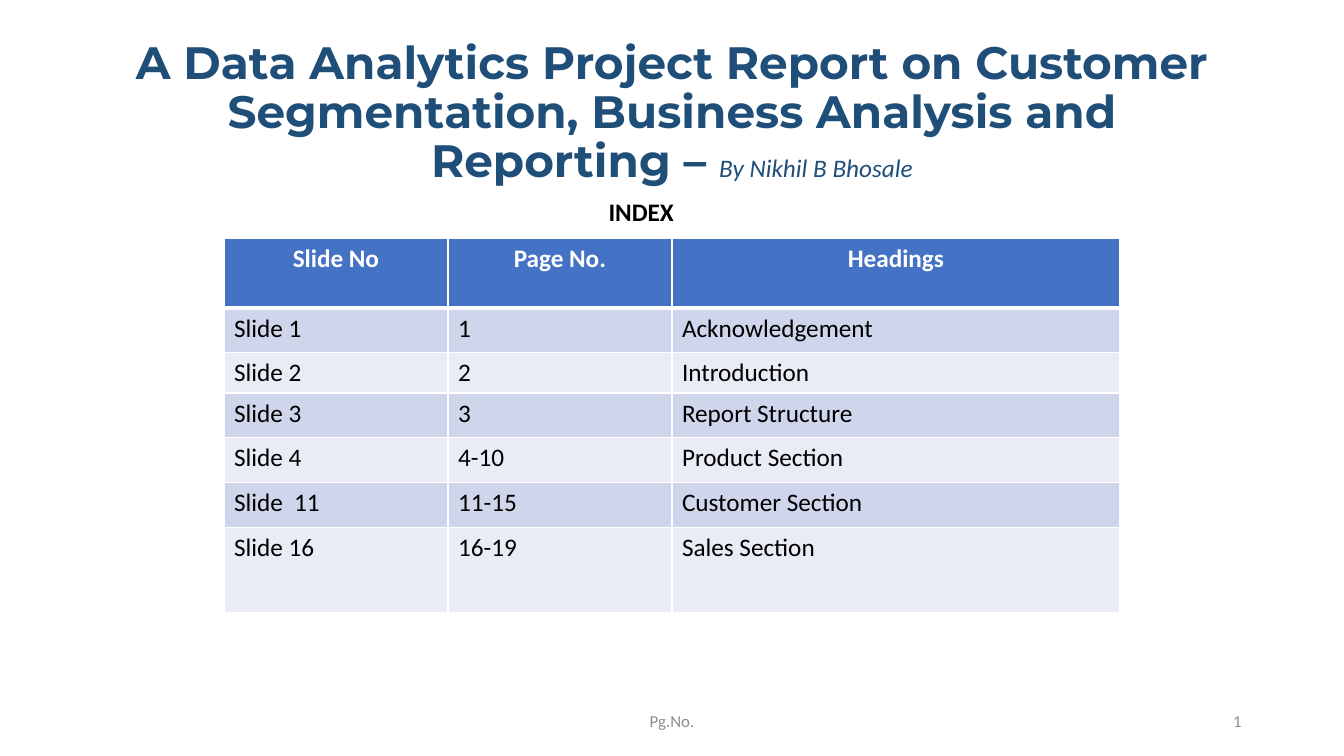
from lxml import etree
from pptx import Presentation
from pptx.dml.color import RGBColor
from pptx.enum import text
from pptx.oxml.ns import qn
from pptx.util import Pt

COLORS = {
    "title": "1F4E79", "black": "000000", "white": "FFFFFF", "footer": "8C8C8C",
    "header": "4472C4", "odd": "CFD5EA", "even": "E9EBF5",
}
CENTER = text.PP_ALIGN.CENTER
RIGHT = text.PP_ALIGN.RIGHT
TOP = text.MSO_ANCHOR.TOP
MIDDLE = text.MSO_ANCHOR.MIDDLE

INDEX = [
    ("Slide No", "Page No.", "Headings"),
    ("Slide 1", "1", "Acknowledgement"),
    ("Slide 2", "2", "Introduction"),
    ("Slide 3", "3", "Report Structure"),
    ("Slide 4", "4-10", "Product Section"),
    ("Slide  11", "11-15", "Customer Section"),
    ("Slide 16", "16-19", "Sales Section"),
]
COL_WIDTHS = (160, 160, 320)
ROW_HEIGHTS = (50, 32, 28.8, 32, 32, 32, 61)


def set_font(font, size, color, name="Calibri", bold=False, italic=False):
    font.size = Pt(size)
    font.name = name
    font.bold = bold
    font.italic = italic
    font.color.rgb = RGBColor.from_string(COLORS[color])


def add_text(s, box, align, anchor=MIDDLE):
    """Add an empty wrapping text box and return its first paragraph."""
    tf = s.shapes.add_textbox(*map(Pt, box)).text_frame
    tf.word_wrap = True
    tf.vertical_anchor = anchor
    p = tf.paragraphs[0]
    p.alignment = align
    return p


def add_label(s, box, label, size, color, align, anchor=MIDDLE, bold=False):
    p = add_text(s, box, align, anchor)
    p.text = label
    set_font(p.font, size, color, bold=bold)


def add_title(s):
    p = add_text(s, (66, 28.8, 828, 104.4), CENTER)
    p.line_spacing = 0.9
    r = p.add_run()
    r.text = ("A Data Analytics Project Report on Customer Segmentation, "
              "Business Analysis and Reporting – ")
    set_font(r.font, 32.4, "title", "Montserrat", bold=True)
    r = p.add_run()
    r.text = "By Nikhil B Bhosale"
    set_font(r.font, 18, "title", italic=True)


def set_borders(cell, bottom):
    """Draw white borders, 1 pt except for the given bottom width."""
    tc_pr = cell._tc.get_or_add_tcPr()
    widths = {"a:lnL": 1, "a:lnR": 1, "a:lnT": 1, "a:lnB": bottom}
    for i, (tag, width) in enumerate(widths.items()):
        ln = etree.Element(qn(tag), w=str(Pt(width)))
        fill = etree.SubElement(ln, qn("a:solidFill"))
        etree.SubElement(fill, qn("a:srgbClr"), val=COLORS["white"])
        tc_pr.insert(i, ln)


def add_index_table(s):
    table = s.shapes.add_table(
        len(INDEX), len(COL_WIDTHS), Pt(160), Pt(170),
        Pt(sum(COL_WIDTHS)), Pt(sum(ROW_HEIGHTS))).table
    for col, width in zip(table.columns, COL_WIDTHS):
        col.width = Pt(width)
    for i, values in enumerate(INDEX):
        table.rows[i].height = Pt(ROW_HEIGHTS[i])
        header = i == 0
        fill = "header" if header else "odd" if i % 2 else "even"
        for j, value in enumerate(values):
            cell = table.cell(i, j)
            cell.fill.solid()
            cell.fill.fore_color.rgb = RGBColor.from_string(COLORS[fill])
            # Both cells that share the header's lower edge draw it alike.
            set_borders(cell, 3 if header else 1)
            if i == 1:
                cell._tc.tcPr.find(qn("a:lnT")).set("w", str(Pt(3)))
            p = cell.text_frame.paragraphs[0]
            p.text = value
            if header:
                p.alignment = CENTER
            set_font(p.font, 18, "white" if header else "black", bold=header)


def main():
    prs = Presentation()
    prs.slide_width, prs.slide_height = Pt(960), Pt(540)
    s = prs.slides.add_slide(prs.slide_layouts[6])
    add_title(s)
    add_label(s, (13, 136.8, 890, 28.8), "INDEX", 18, "black", CENTER, TOP, bold=True)
    add_index_table(s)
    add_label(s, (678, 500.4, 216, 28.8), "1", 12, "footer", RIGHT)
    add_label(s, (318, 500.4, 324, 28.8), "Pg.No.", 12, "footer", CENTER)
    prs.save("out.pptx")


if __name__ == "__main__":
    main()
